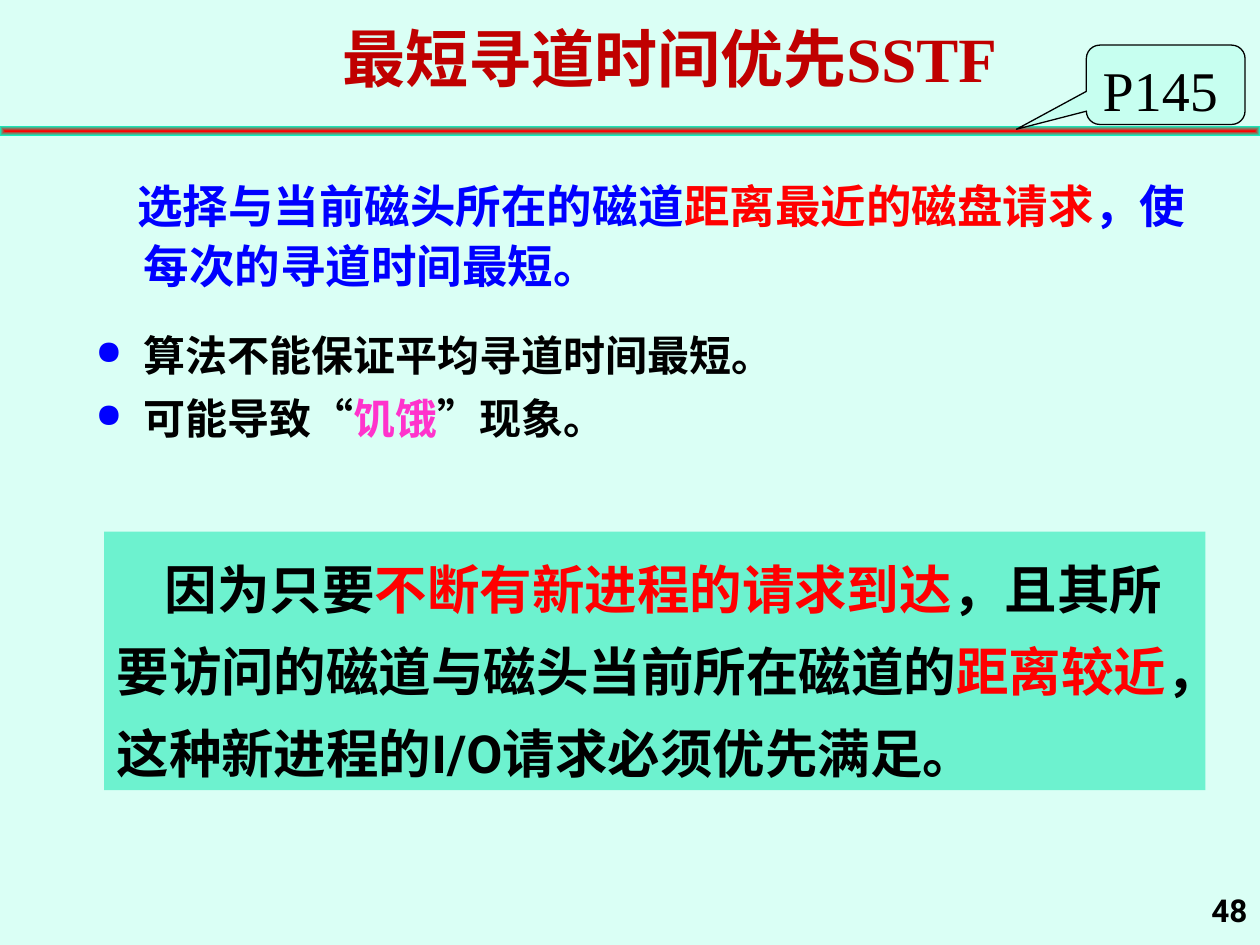
"""Build the slide on shortest-seek-time-first disk scheduling."""
from lxml import etree
from pptx import Presentation
from pptx import util as u
from pptx.dml.color import RGBColor
from pptx.enum import shapes, text
from pptx.oxml import parse_xml
from pptx.oxml.ns import qn

SERIF = "Times New Roman"
SANS = "Roboto"
BLACK, RED, BLUE, PINK, CRIMSON = "000000", "FF0000", "0000FF", "FF33CC", "C00000"
BACKGROUND, CALLOUT, PANEL, TEAL = "DAFFF5", "C7FFF0", "6DF2CF", "00FFCC"
RULE_GRADIENT = f"""
<a:gradFill xmlns:a="http://schemas.openxmlformats.org/drawingml/2006/main" rotWithShape="1">
  <a:gsLst>
    <a:gs pos="0"><a:srgbClr val="{RED}"/></a:gs>
    <a:gs pos="100000"><a:srgbClr val="{TEAL}"/></a:gs>
  </a:gsLst>
  <a:path path="rect"><a:fillToRect l="50000" t="50000" r="50000" b="50000"/></a:path>
</a:gradFill>"""


def rgb(value):
    """Turn a hex string into a colour."""
    return RGBColor.from_string(value)


def place(shape, left, top, width, height):
    """Set position and size in centimetres."""
    shape.left, shape.top, shape.width, shape.height = map(u.Cm, (left, top, width, height))


def add_bullet(paragraph):
    """Give a paragraph a small blue round bullet."""
    properties = paragraph._p.get_or_add_pPr()
    colour = etree.SubElement(properties, qn("a:buClr"))
    etree.SubElement(colour, qn("a:srgbClr"), val=BLUE)
    etree.SubElement(properties, qn("a:buSzPct"), val="80000")
    etree.SubElement(properties, qn("a:buChar"), char="●")


def write(paragraph, runs, size, font=SERIF, color=BLACK, bold=True, align=text.PP_ALIGN.LEFT,
          spacing=None, before=0, margin=0, indent=0, bullet=False):
    """Fill a paragraph with (wording, colour) runs; None keeps the paragraph colour."""
    paragraph.alignment = align
    paragraph.space_before = u.Pt(before)
    if spacing:
        paragraph.line_spacing = spacing
    properties = paragraph._p.get_or_add_pPr()
    properties.set("marL", str(u.Cm(margin)))
    properties.set("indent", str(u.Cm(indent)))
    if bullet:
        add_bullet(paragraph)
    paragraph.font.size = u.Pt(size)
    paragraph.font.name = font
    paragraph.font.bold = bold
    paragraph.font.color.rgb = rgb(color)
    for wording, run_color in runs:
        run = paragraph.add_run()
        run.text = wording
        if run_color:
            run.font.color.rgb = rgb(run_color)


def add_text_box(slide, *box):
    """Add a wrapping text box and return its frame."""
    frame = slide.shapes.add_textbox(*map(u.Cm, box)).text_frame
    frame.word_wrap = True
    return frame


def add_shape(slide, kind, box, fill=None, line=None):
    """Add a flat shape with top-anchored text."""
    shape = slide.shapes.add_shape(kind, *map(u.Cm, box))
    shape.shadow.inherit = False
    if fill:
        shape.fill.solid()
        shape.fill.fore_color.rgb = rgb(fill)
    if line:
        shape.line.color.rgb = rgb(line)
        shape.line.width = u.Pt(0.75)
    else:
        shape.line.fill.background()
    shape.text_frame.vertical_anchor = text.MSO_ANCHOR.TOP
    return shape


def add_title(slide):
    """Format the title placeholder."""
    title = slide.shapes.title
    place(title, 2.03, 0.25, 22.94, 1.8)
    title.text_frame.vertical_anchor = text.MSO_ANCHOR.MIDDLE
    write(title.text_frame.paragraphs[0], [("最短寻道时间优先SSTF", None)], 36,
          color=CRIMSON, align=text.PP_ALIGN.CENTER)


def add_body(slide):
    """Add the definition and its two drawbacks."""
    frame = add_text_box(slide, 1.68, 3.48, 22.83, 5.87)
    frame.margin_top = frame.margin_bottom = 0
    write(frame.paragraphs[0],
          [("选择与当前磁头所在的磁道", None), ("距离最近的磁盘请求", RED),
           ("，使每次的寻道时间最短。", None)],
          26, color=BLUE, spacing=1.1, margin=0.97, indent=-0.13)
    drawbacks = [
        (18, [("算法不能保证平均寻道时间最短。", None)]),
        (4.5, [("可能导致“", None), ("饥饿", PINK), ("”现象。", None)]),
    ]
    for before, runs in drawbacks:
        write(frame.add_paragraph(), runs, 24, spacing=1.1, before=before,
              margin=0.97, indent=-0.97, bullet=True)


def add_reason(slide):
    """Add the panel that explains starvation."""
    panel = add_shape(slide, shapes.MSO_SHAPE.RECTANGLE, (2.1, 10.72, 22.2, 5.21), PANEL)
    write(panel.text_frame.paragraphs[0],
          [("因为只要", None), ("不断有新进程的请求到达", RED),
           ("，且其所要访问的磁道与磁头当前所在磁道的", None), ("距离较近", RED),
           ("，这种新进程的I/O请求必须优先满足。", None)],
          30, font=SANS, spacing=1.3, indent=0.97)


def add_rule(slide):
    """Add the gradient rule under the title."""
    rule = add_shape(slide, shapes.MSO_SHAPE.RECTANGLE, (0, 2.54, 25.4, 0.2))
    rule._element.spPr.find(qn("a:prstGeom")).addnext(parse_xml(RULE_GRADIENT))


def add_page_callout(slide):
    """Add the textbook page callout."""
    callout = add_shape(slide, shapes.MSO_SHAPE.ROUNDED_RECTANGULAR_CALLOUT,
                        (21.9, 0.91, 3.2, 1.6), CALLOUT, BLACK)
    for index, value in enumerate((-0.94, 0.56, 0.17)):
        callout.adjustments[index] = value
    write(callout.text_frame.paragraphs[0], [("P145", None)], 32, bold=False)


def add_slide_number(slide):
    """Add the slide number at the bottom right."""
    frame = add_text_box(slide, 22.86, 17.58, 2.54, 1.27)
    frame.vertical_anchor = text.MSO_ANCHOR.BOTTOM
    write(frame.paragraphs[0], [("48", None)], 18, font=SANS, align=text.PP_ALIGN.RIGHT)


def main():
    """Build and save the presentation."""
    presentation = Presentation()
    presentation.slide_width, presentation.slide_height = u.Cm(25.4), u.Cm(19.05)
    slide = presentation.slides.add_slide(presentation.slide_layouts[5])
    slide.background.fill.solid()
    slide.background.fill.fore_color.rgb = rgb(BACKGROUND)
    add_slide_number(slide)
    add_title(slide)
    add_body(slide)
    add_reason(slide)
    add_rule(slide)
    add_page_callout(slide)
    presentation.save("out.pptx")


if __name__ == "__main__":
    main()
